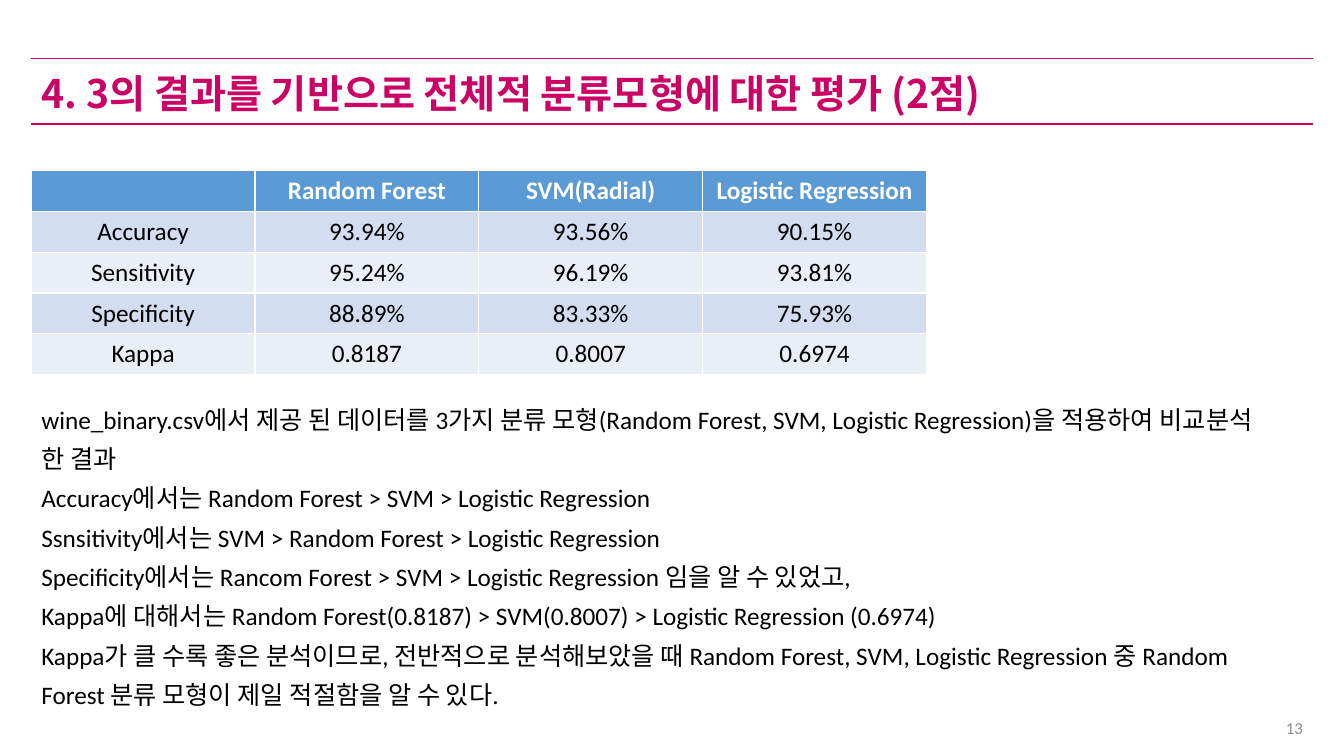
"""Builds the slide that compares three wine classification models."""
from lxml import etree
from pptx import Presentation
from pptx.dml.color import RGBColor
from pptx.enum.shapes import MSO_CONNECTOR
from pptx.enum.text import MSO_ANCHOR, MSO_AUTO_SIZE, PP_ALIGN
from pptx.oxml.ns import qn
from pptx.util import Inches, Pt

LEFT, CENTER, RIGHT = PP_ALIGN.LEFT, PP_ALIGN.CENTER, PP_ALIGN.RIGHT
TOP, MIDDLE = MSO_ANCHOR.TOP, MSO_ANCHOR.MIDDLE
STRAIGHT = MSO_CONNECTOR.STRAIGHT
NO_FIT = MSO_AUTO_SIZE.NONE
LATIN, KOREAN = "Calibri", "Noto Sans CJK KR"
PINK, BLACK, WHITE, GRAY = "CA0364", "000000", "FFFFFF", "8C8C8C"
HEADER, BANDS = "5B9BD5", ("EAEFF7", "D2DEEF")
MARGIN, WIDTH = 0.31, 12.71
COL_W, ROW_H = 2.22, 0.405


def rgb(code):
    return RGBColor.from_string(code)


def style(p, size, color, align, font=LATIN, bold=False, spacing=1.0):
    p.alignment, p.line_spacing = align, spacing
    p.space_before = p.space_after = Pt(0)
    for r in p.runs:
        r.font.size, r.font.bold, r.font.name = Pt(size), bold, font
        r.font.color.rgb = rgb(color)
        ea = etree.SubElement(r.font._element, qn("a:ea"))
        ea.set("typeface", KOREAN)


prs = Presentation()
prs.slide_width, prs.slide_height = Inches(13.33), Inches(7.5)
s = prs.slides.add_slide(prs.slide_layouts[1])

for y in (0.58, 1.23):
    line = s.shapes.add_connector(
        STRAIGHT, Inches(MARGIN), Inches(y), Inches(MARGIN + WIDTH), Inches(y))
    line.line.color.rgb, line.line.width = rgb(PINK), Pt(1)
    etree.SubElement(line._element.spPr, qn("a:effectLst"))

title, body = s.placeholders
title.text_frame.text = "4. 3의 결과를 기반으로 전체적 분류모형에 대한 평가 (2점)"
body.text_frame.text = "\n".join([
    "wine_binary.csv에서 제공 된 데이터를 3가지 분류 모형(Random Forest, SVM, Logistic Regression)을 적용하여 비교분석 한 결과",
    "Accuracy에서는 Random Forest > SVM > Logistic Regression",
    "Ssnsitivity에서는 SVM > Random Forest > Logistic Regression",
    "Specificity에서는 Rancom Forest > SVM > Logistic Regression 임을 알 수 있었고,",
    "Kappa에 대해서는 Random Forest(0.8187) > SVM(0.8007) > Logistic Regression (0.6974)",
    "Kappa가 클 수록 좋은 분석이므로, 전반적으로 분석해보았을 때 Random Forest, SVM, Logistic Regression 중 "
    "Random Forest 분류 모형이 제일 적절함을 알 수 있다.",
])
number = s.shapes.add_textbox(0, 0, 0, 0)
number.text_frame.text = "13"

for sp, box, anchor in (
    (title, (MARGIN, 0.68, WIDTH, 0.55), MIDDLE),
    (body, (MARGIN, 3.87, 12.28, 3.22), TOP),
    (number, (10.02, 7.02, 3, 0.4), MIDDLE),
):
    sp.left, sp.top, sp.width, sp.height = map(Inches, box)
    tf = sp.text_frame
    tf.word_wrap, tf.auto_size, tf.vertical_anchor = True, NO_FIT, anchor

style(title.text_frame.paragraphs[0], 28, PINK, LEFT, KOREAN, True, 0.9)
style(number.text_frame.paragraphs[0], 12, GRAY, RIGHT)
for p in body.text_frame.paragraphs:
    style(p, 18, BLACK, LEFT, spacing=1.3)
    pPr = p._p.get_or_add_pPr()
    pPr.set("marL", "0")
    pPr.set("indent", "0")
    etree.SubElement(pPr, qn("a:buNone"))

scores = [
    ("", "Random Forest", "SVM(Radial)", "Logistic Regression"),
    ("Accuracy", "93.94%", "93.56%", "90.15%"),
    ("Sensitivity", "95.24%", "96.19%", "93.81%"),
    ("Specificity", "88.89%", "83.33%", "75.93%"),
    ("Kappa", "0.8187", "0.8007", "0.6974"),
]
n_rows, n_cols = len(scores), len(scores[0])
table = s.shapes.add_table(
    n_rows, n_cols, Inches(MARGIN), Inches(1.69),
    Inches(COL_W * n_cols), Inches(ROW_H * n_rows)).table
for i, row in enumerate(scores):
    for j, text in enumerate(row):
        cell = table.cell(i, j)
        cell.fill.solid()
        cell.fill.fore_color.rgb = rgb(BANDS[i % 2] if i else HEADER)
        cell.text_frame.text = text
        style(cell.text_frame.paragraphs[0], 18, BLACK if i else WHITE, CENTER, bold=i == 0)

prs.save("out.pptx")
